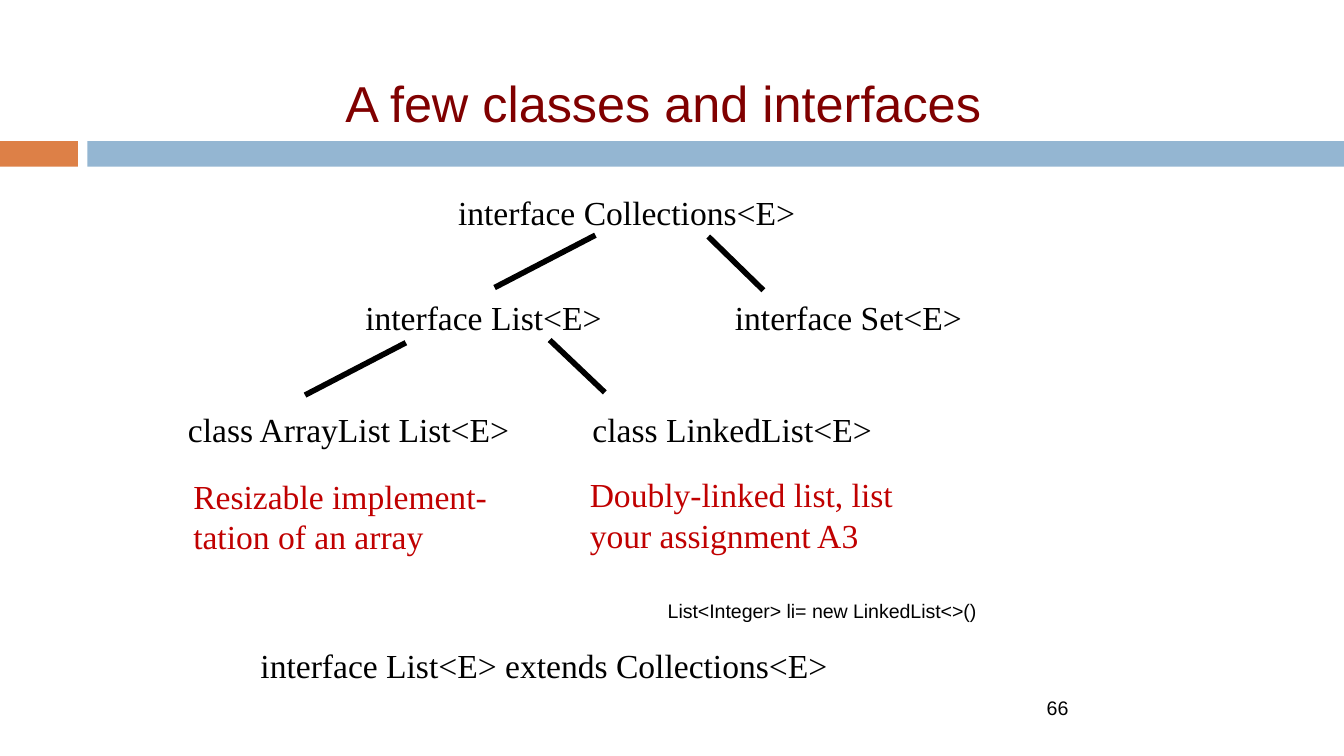
from lxml.etree import SubElement
from pptx import Presentation
from pptx.dml.color import RGBColor
from pptx.enum.shapes import MSO_CONNECTOR, MSO_SHAPE
from pptx.enum.text import MSO_ANCHOR, MSO_AUTO_SIZE, PP_ALIGN
from pptx.oxml.ns import qn
from pptx.util import Pt

SCALE = 9144  # EMU per px, 100 px to the inch
SERIF, SANS = "Times New Roman", "Arial"
BLACK, RED = "000000", "C00000"


def px(*sizes):
    return [size * SCALE for size in sizes]


def color(code):
    return RGBColor.from_string(code)


def style(par, size, face, code):
    par.font.size = Pt(size)
    par.font.name = face
    par.font.color.rgb = color(code)


def add_bar(slide, box, code):
    bar = slide.shapes.add_shape(MSO_SHAPE.RECTANGLE, *px(*box))
    bar.shadow.inherit = False
    bar.fill.solid()
    bar.fill.fore_color.rgb = color(code)
    bar.line.fill.background()


def set_title(slide, text, box):
    title = slide.shapes.title
    title.left, title.top, title.width, title.height = px(*box)
    frame = title.text_frame
    frame.text = text
    frame.auto_size = MSO_AUTO_SIZE.NONE
    frame.vertical_anchor = MSO_ANCHOR.BOTTOM
    frame.margin_left = frame.margin_right = px(7)[0]
    frame.margin_top = frame.margin_bottom = px(7)[0]
    par = frame.paragraphs[0]
    par.alignment = PP_ALIGN.CENTER
    style(par, 27, SANS, "800000")


def add_label(slide, text, box, code=BLACK, size=18, face=SERIF, wrap=True):
    frame = slide.shapes.add_textbox(*px(*box)).text_frame
    frame.word_wrap = wrap
    frame.auto_size = MSO_AUTO_SIZE.SHAPE_TO_FIT_TEXT
    frame.text = text
    style(frame.paragraphs[0], size, face, code)


def add_branch(slide, ends):
    line = slide.shapes.add_connector(MSO_CONNECTOR.STRAIGHT, *px(*ends))
    line.line.color.rgb = color(BLACK)
    line.line.width = Pt(3)
    SubElement(line._element.spPr, qn("a:effectLst"))


def main():
    deck = Presentation()
    deck.slide_width = px(1000)[0]
    deck.slide_height = deck.slide_width * 9 // 16
    slide = deck.slides.add_slide(deck.slide_layouts[5])

    # Header
    add_bar(slide, (0, 105, 58, 19), "DD8047")
    add_bar(slide, (65, 105, 935, 19), "94B6D2")
    set_title(slide, "A few classes and interfaces", (156, 31, 675, 75))

    # Tree of types
    for text, left, top, width in (
        ("interface Collections<E>", 331, 138, 299),
        ("interface List<E>", 262, 216, 213),
        ("interface Set<E>", 537, 216, 213),
        ("class ArrayList List<E>", 130, 299, 270),
        ("class LinkedList<E>", 431, 299, 238),
    ):
        add_label(slide, text, (left, top, width, 40))
    for ends in (
        (443, 175, 368, 214),
        (527, 176, 568, 216),
        (302, 255, 227, 294),
        (409, 253, 450, 292),
    ):
        add_branch(slide, ends)

    # Remarks on the two classes
    add_label(slide, "Resizable implement-tation of an array",
              (134, 349, 247, 71), RED)
    add_label(slide, "Doubly-linked list, list your assignment A3",
              (429, 348, 247, 71), RED)

    # Code lines and page number
    add_label(slide, "interface List<E> extends Collections<E>",
              (184, 475, 447, 40), wrap=False)
    add_label(slide, "List<Integer> li= new LinkedList<>()",
              (487, 441, 254, 28), size=10.5, face=SANS, wrap=False)
    add_label(slide, "66", (769, 513, 37, 28),
              size=10.5, face=SANS, wrap=False)

    deck.save("out.pptx")


if __name__ == "__main__":
    main()
